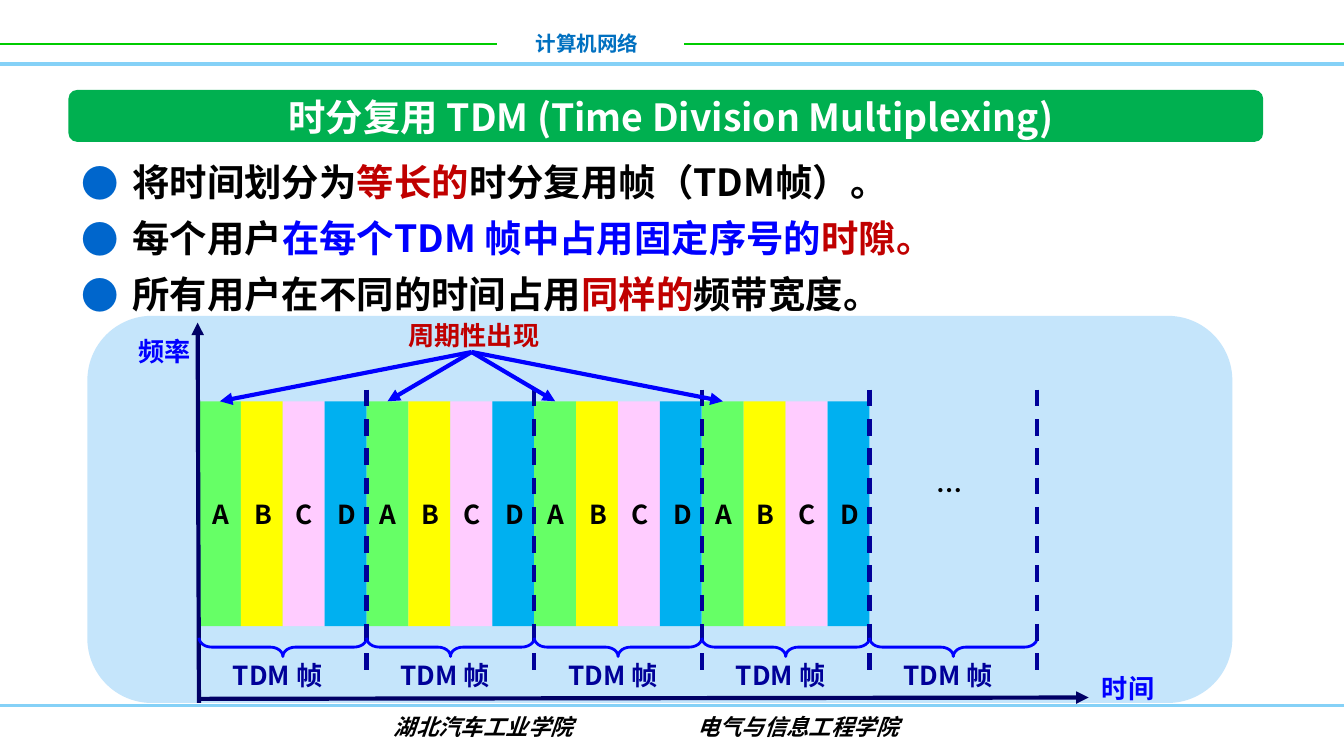
from lxml import etree
from pptx import Presentation
from pptx.dml.color import RGBColor
from pptx.enum import dml, shapes, text
from pptx.oxml import ns
from pptx.util import Pt

CJK = "Noto Sans CJK SC"
BLACK, WHITE, RED, BLUE = "000000", "FFFFFF", "C00000", "0000FF"
NAVY, INDIGO, SKY = "000066", "000099", "85D1F7"
LEFT, FRAME, FRAMES = 106.6, 89.8, 5
SLOT = FRAME / 4
SLOT_TOP, SLOT_HEIGHT = 215, 120.5
USERS = {"A": "66FF66", "B": "FFFF00", "C": "FFCCFF", "D": "00B0F0"}
POINTS = [
    [("将时间划分为", BLACK), ("等长的", RED), ("时分复用帧（TDM帧）。", BLACK)],
    [("每个用户", BLACK), ("在每个TDM 帧中占用固定序号的", BLUE), ("时隙。", RED)],
    [("所有用户在不同的时间占用", BLACK), ("同样的", RED), ("频带宽度。", BLACK)],
]


def paint(target, colour):
    """Give a fill or line a solid colour, or a font its colour."""
    if hasattr(target, "solid"):
        target.solid()
        target = target.fore_color
    elif hasattr(target, "color"):
        target = target.color
    target.rgb = RGBColor.from_string(colour)


def add_child(parent, tag, **attributes):
    """Append a DrawingML element."""
    return etree.SubElement(parent, ns.qn(tag), attributes)


def style(para, size, colour, font=CJK):
    """Set the bold font of a paragraph for Latin and Chinese text."""
    para.font.size = Pt(size)
    para.font.bold = True
    paint(para.font, colour)
    para.font.name = font
    properties = para._p.get_or_add_pPr().find(ns.qn("a:defRPr"))
    add_child(properties, "a:ea", typeface=CJK)


def place(box, left, top, width, height):
    """Move and size a shape."""
    box.left, box.top, box.width, box.height = map(Pt, (left, top, width, height))


def add_label(page, words, frame, size, colour, font=CJK, spacing=None, wrap=False):
    """Add a text box with one paragraph and return it."""
    box = page.shapes.add_textbox(*map(Pt, frame))
    box.text_frame.word_wrap = wrap
    para = box.text_frame.paragraphs[0]
    para.text = words
    para.line_spacing = spacing
    style(para, size, colour, font)
    return box


def add_block(page, kind, frame, fill=None):
    """Add a preset shape without outline or shadow."""
    block = page.shapes.add_shape(kind, *map(Pt, frame))
    block.shadow.inherit = False
    if fill:
        paint(block.fill, fill)
    else:
        block.fill.background()
    block.line.fill.background()
    return block


def add_line(page, start, end, colour, width, arrow=False, dash=None):
    """Add a straight connector, optionally dashed or with an arrowhead."""
    line = page.shapes.add_connector(
        shapes.MSO_CONNECTOR.STRAIGHT, *map(Pt, (*start, *end)))
    paint(line.line.fill, colour)
    line.line.width = Pt(width)
    if dash:
        line.line.dash_style = dash
    if arrow:
        add_child(line.line._get_or_add_ln(), "a:tailEnd", type="triangle")
    add_child(line.element.spPr, "a:effectLst")
    return line


def add_header_and_footer(page):
    """Draw the rules, course name and school names."""
    for start, end, y, colour, width in (
            (0, 266.4, 23.7, "00CC00", 1), (366.5, 720, 23.7, "00CC00", 1),
            (0, 720, 34.4, SKY, 2), (0, 720, 378, SKY, 1.5)):
        add_line(page, (start, y), (end, y), colour, width)
    course = add_label(page, "计算机网络", (279.4, 13, 69.8, 20.9), 11, "0070C0")
    course.text_frame.paragraphs[0].alignment = text.PP_ALIGN.RIGHT

    schools = page.shapes.add_textbox(*map(Pt, (73.4, 378.7, 544.3, 21.6)))
    schools.text_frame.word_wrap = True
    schools.text_frame.margin_left = Pt(137.6)
    para = schools.text_frame.paragraphs[0]
    para.text = "湖北汽车工业学院\t电气与信息工程学院"
    tabs = add_child(para._p.get_or_add_pPr(), "a:tabLst")
    add_child(tabs, "a:tab", pos=str(Pt(162.5)), algn="l")
    style(para, 12, BLACK, "Arial")
    para.font.italic = True


def fill_title(page):
    """Set the title over its green bar."""
    bar = add_block(page, shapes.MSO_SHAPE.ROUNDED_RECTANGLE,
                    (36.7, 48.2, 640, 27.8), "00B050")
    bar.adjustments[0] = 0.167
    title = page.shapes.title
    place(title, 98.6, 48.2, 522, 28.1)
    page.shapes.element.append(title.element)
    frame = title.text_frame
    frame.auto_size = text.MSO_AUTO_SIZE.NONE
    frame.vertical_anchor = text.MSO_ANCHOR.MIDDLE
    para = frame.paragraphs[0]
    para.text = "时分复用 TDM (Time Division Multiplexing)"
    para.alignment = text.PP_ALIGN.CENTER
    style(para, 20, WHITE)


def fill_points(body):
    """Write the bulleted points with their coloured spans."""
    place(body, 36.7, 75.6, 640, 95)
    frame = body.text_frame
    frame.auto_size = text.MSO_AUTO_SIZE.NONE
    frame.vertical_anchor = text.MSO_ANCHOR.TOP
    for index, spans in enumerate(POINTS):
        para = frame.add_paragraph() if index else frame.paragraphs[0]
        para.alignment = text.PP_ALIGN.JUSTIFY
        para.line_spacing = Pt(30)
        para.space_before = Pt(0)
        properties = para._p.get_or_add_pPr()
        properties.set("marL", str(Pt(27)))
        properties.set("indent", str(Pt(-27)))
        add_child(add_child(properties, "a:buClr"), "a:srgbClr", val="0066CC")
        add_child(properties, "a:buFont", typeface=CJK)
        add_child(properties, "a:buChar", char="●")
        style(para, 20, BLACK)
        for words, colour in spans:
            span = para.add_run()
            span.text = words
            paint(span.font, colour)


def add_slot(page, user, left):
    """Add the time slot of one user and return it."""
    slot = add_block(page, shapes.MSO_SHAPE.RECTANGLE,
                     (left, SLOT_TOP, SLOT, SLOT_HEIGHT), USERS[user])
    slot.text_frame.word_wrap = False
    slot.text_frame.vertical_anchor = text.MSO_ANCHOR.MIDDLE
    para = slot.text_frame.paragraphs[0]
    para.text = user
    para.alignment = text.PP_ALIGN.LEFT
    style(para, 14, BLACK)
    return slot


def add_frame_mark(page, left):
    """Add the brace, name and dashed end line of one frame."""
    middle = left + FRAME / 2
    add_label(page, "TDM 帧", (middle - 33.8, 351.4, 67.6, 22.3), 14, INDIGO, spacing=0.9)
    brace = add_block(page, shapes.MSO_SHAPE.LEFT_BRACE,
                      (middle - 5, 346.7 - FRAME / 2, 10, FRAME))
    brace.rotation = 270
    brace.element.spPr.xfrm.set("flipV", "1")
    brace.adjustments[0] = 0.671
    paint(brace.line.fill, BLUE)
    brace.line.width = Pt(1.5)
    end = left + FRAME
    add_line(page, (end, 208.8), (end, 361.4), INDIGO, 2.25, dash=dml.MSO_LINE.DASH)


def add_diagram(page):
    """Draw the frequency and time chart of repeating frames."""
    add_block(page, shapes.MSO_SHAPE.ROUNDED_RECTANGLE, (46.8, 169.2, 613.4, 207.4), "C5E5FB")
    add_line(page, (LEFT, 374.4), (583.2, 373.7), NAVY, 2.25, arrow=True)
    add_label(page, "频率", (67, 177.8, 42.5, 22.3), 14, BLUE, spacing=0.9)
    add_label(page, "时间", (583.2, 358.6, 42.5, 22.3), 14, BLUE, spacing=0.9)
    first_slots = []
    for number in range(FRAMES - 1):
        slots = [add_slot(page, user, LEFT + number * FRAME + index * SLOT)
                 for index, user in enumerate(USERS)]
        first_slots.append(slots[0])
    add_label(page, "…", (494.6, 250.6, 28.1, 23.8), 14, BLACK)
    add_line(page, (LEFT, 376.6), (105.9, 172.8), NAVY, 2.25, arrow=True)
    for number in range(FRAMES):
        add_frame_mark(page, LEFT + number * FRAME)
    add_label(page, "周期性出现", (211.7, 169.2, 85, 22.3), 14, RED, spacing=0.9)
    for slot in first_slots:
        arrow = add_line(page, (252.7, 188.6), (slot.left.pt, SLOT_TOP), BLUE, 2.25, arrow=True)
        arrow.end_connect(slot, 0)


def main():
    """Build and save the slide."""
    deck = Presentation()
    deck.slide_width, deck.slide_height = Pt(720), Pt(405)
    page = deck.slides.add_slide(deck.slide_layouts[1])
    add_header_and_footer(page)
    fill_title(page)
    fill_points(page.placeholders[1])
    add_diagram(page)
    deck.save("out.pptx")


if __name__ == "__main__":
    main()
